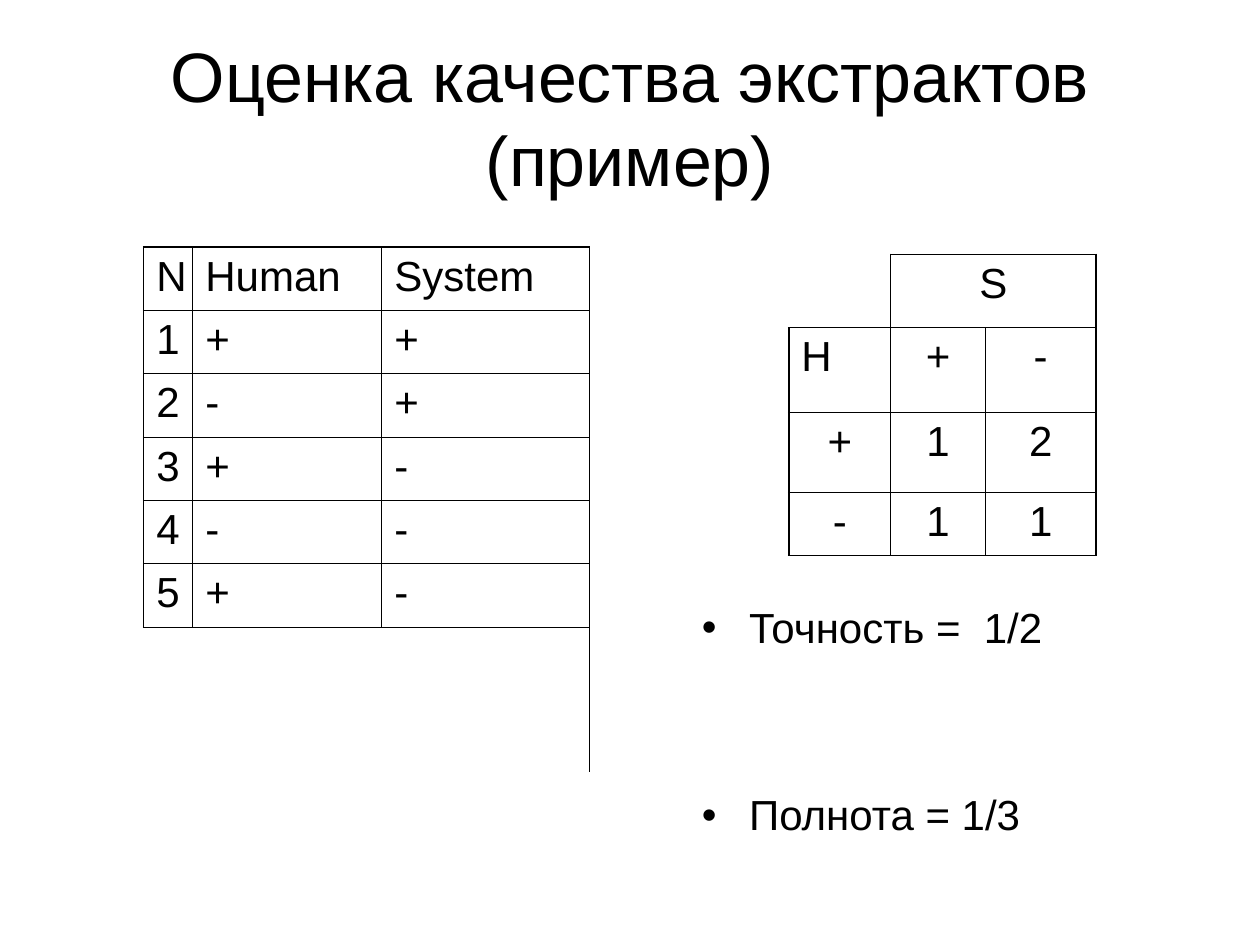
from lxml.etree import SubElement
from pptx import Presentation
from pptx.dml.color import RGBColor
from pptx.enum.text import MSO_ANCHOR, MSO_AUTO_SIZE, PP_ALIGN
from pptx.oxml.ns import qn
from pptx.util import Inches, Pt

COLORS = {"ink": "000000", "paper": "FFFFFF"}
FONT = "Arial"
THICK, THIN = Pt(1.08), Pt(0.45)

presentation = Presentation()
presentation.slide_width = Inches(10)
presentation.slide_height = Inches(7.5)
unit = presentation.slide_width // 100

slide = presentation.slides.add_slide(presentation.slide_layouts[1])
slide.background.fill.solid()
slide.background.fill.fore_color.rgb = RGBColor.from_string(COLORS["paper"])


def format_paragraph(paragraph, size, alignment):
    paragraph.alignment = alignment
    paragraph.font.name = FONT
    paragraph.font.size = Pt(size)
    paragraph.font.color.rgb = RGBColor.from_string(COLORS["ink"])


def add_grid(left, top, widths, heights, rows, merges, centered):
    row_count, column_count = len(heights), len(widths)
    shape = slide.shapes.add_table(
        row_count, column_count, round(left * unit), round(top * unit),
        round(sum(widths) * unit), round(sum(heights) * unit))
    table = shape.table
    table.first_row = table.horz_banding = False
    for column, width in zip(table.columns, widths):
        column.width = round(width * unit)
    for row, height in zip(table.rows, heights):
        row.height = round(height * unit)
    for first, last in merges:
        table.cell(*first).merge(table.cell(*last))
    for r, texts in enumerate(rows):
        for c, text in enumerate(texts):
            cell = table.cell(r, c)
            if text:
                cell.text = text
                alignment = PP_ALIGN.CENTER if centered and text != "H" else PP_ALIGN.LEFT
                format_paragraph(cell.text_frame.paragraphs[0], 24, alignment)
            if cell.is_spanned:
                continue
            spans = (cell.span_height, cell.span_width) if cell.is_merge_origin else (1, 1)
            neighbours = {"a:lnL": (r, c - 1), "a:lnR": (r, c + spans[1]),
                          "a:lnT": (r - 1, c), "a:lnB": (r + spans[0], c)}
            properties = cell._tc.get_or_add_tcPr()
            for tag, (y, x) in neighbours.items():
                inside = 0 <= y < row_count and 0 <= x < column_count
                visible = text or (inside and rows[y][x])
                line = SubElement(properties, qn(tag), w=str(THIN if inside else THICK))
                fill = SubElement(line, qn("a:solidFill" if visible else "a:noFill"))
                if visible:
                    SubElement(fill, qn("a:srgbClr"), val=COLORS["ink"])
            cell.fill.background()


title = slide.shapes.title
title.left, title.top, title.width, title.height = 5 * unit, 3 * unit, 90 * unit, round(12.5 * unit)
title.text_frame.text = "Оценка качества экстрактов (пример)"
title.text_frame.auto_size = MSO_AUTO_SIZE.NONE
title.text_frame.vertical_anchor = MSO_ANCHOR.MIDDLE
format_paragraph(title.text_frame.paragraphs[0], 40, PP_ALIGN.CENTER)

body = slide.placeholders[1]
body.left, body.top, body.width, body.height = (
    round(share * unit) for share in (54.7, 47.7, 42.4, 21))
body.text_frame.text = "Точность =  1/2\nПолнота = 1/3"
body.text_frame.auto_size = MSO_AUTO_SIZE.NONE
for paragraph, gap in zip(body.text_frame.paragraphs, (0, 81)):
    paragraph.line_spacing = 0.9
    paragraph.space_before = Pt(gap)
    format_paragraph(paragraph, 24, PP_ALIGN.LEFT)

add_grid(62.6, 20.2, [8.1, 7.5, 8.8], [5.8, 6.7, 6.4, 5],
         [["", "S", ""], ["H", "+", "-"], ["+", "1", "2"], ["-", "1", "1"]],
         [((0, 1), (0, 2))], True)

judgements = [("+", "+"), ("-", "+"), ("+", "-"), ("-", "-"), ("+", "-")]
judgement_rows = [["N", "Human", "System", ""]]
judgement_rows += [[str(number), human, system, ""]
                   for number, (human, system) in enumerate(judgements, 1)]
judgement_rows.append([""] * 4)
add_grid(11.4, 19.6, [3.9, 15, 16.5, 24.3], [5.03] * 6 + [11.5], judgement_rows,
         [((0, 3), (6, 3)), ((6, 0), (6, 2))], False)

presentation.save("out.pptx")
